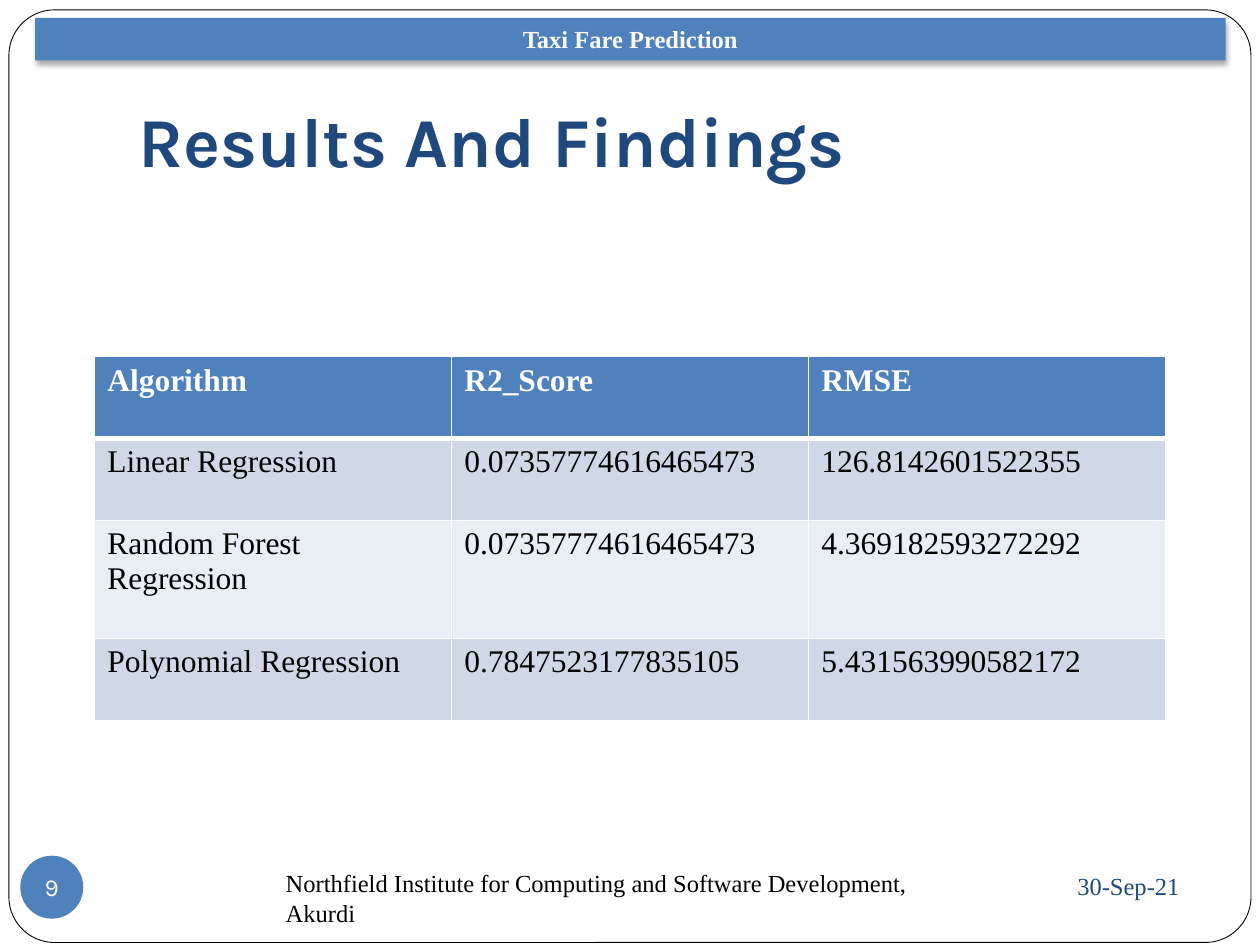
"""Build the results slide of the taxi fare prediction presentation."""
from lxml.etree import SubElement
from pptx import Presentation
from pptx.dml.color import RGBColor
from pptx.enum.shapes import MSO_SHAPE as Shape
from pptx.enum.text import MSO_ANCHOR as Anchor, PP_ALIGN as Align
from pptx.oxml import parse_xml
from pptx.oxml.ns import nsdecls, qn
from pptx.util import Cm, Pt

WHITE = RGBColor(0xFF, 0xFF, 0xFF)
BLACK = RGBColor(0, 0, 0)
NAVY = RGBColor(0x1F, 0x49, 0x7D)
BLUE = RGBColor(0x4F, 0x81, 0xBD)
BANDS = [RGBColor(0xE9, 0xED, 0xF4), RGBColor(0xD0, 0xD8, 0xE8)]
SERIF = "Times New Roman"
SANS = "Karla"


def write(text_frame, text, size, color, name=SERIF, bold=False, align=Align.LEFT, anchor=Anchor.MIDDLE):
    text_frame.text = text
    text_frame.word_wrap = True
    text_frame.vertical_anchor = anchor
    paragraph = text_frame.paragraphs[0]
    paragraph.alignment = align
    font = paragraph.font
    font.name, font.size, font.bold = name, Pt(size), bold
    font.color.rgb = color


def add_border(cell, side, width):
    line = SubElement(cell._tc.get_or_add_tcPr(), qn(f"a:{side}"), w=str(Pt(width)))
    fill = SubElement(line, qn("a:solidFill"))
    SubElement(fill, qn("a:srgbClr"), val=str(WHITE))


presentation = Presentation()
presentation.slide_width, presentation.slide_height = Cm(25.4), Cm(19.05)
slide = presentation.slides.add_slide(presentation.slide_layouts[5])
shapes = slide.shapes

title = shapes.title
title.left, title.top, title.width, title.height = Cm(2.54), Cm(0.76), Cm(21.59), Cm(3.15)
write(title.text_frame, "Results And Findings", 40, NAVY, SANS, True, anchor=Anchor.BOTTOM)
title.text_frame.margin_bottom = Cm(0.25)

frame = shapes.add_shape(Shape.ROUNDED_RECTANGLE, Cm(0.18), Cm(0.2), Cm(25.04), Cm(18.8))
frame.adjustments[0] = 0.049
frame.shadow.inherit = False
frame.fill.solid()
frame.fill.fore_color.rgb = WHITE
frame.line.color.rgb = BLACK
frame.line.width = Pt(0.5)
title.element.addprevious(frame.element)

date = shapes.add_textbox(Cm(17.15), Cm(17.2), Cm(6.88), Cm(1.32))
write(date.text_frame, "30-Sep-21", 14, NAVY, align=Align.RIGHT)

number = shapes.add_shape(Shape.OVAL, Cm(0.41), Cm(17.25), Cm(1.27), Cm(1.27))
write(number.text_frame, "9", 14, WHITE, SANS, align=Align.CENTER)
number.text_frame.margin_left = number.text_frame.margin_right = 0
number.text_frame.margin_top = number.text_frame.margin_bottom = 0
number.text_frame.word_wrap = False

rows = [
    ("Algorithm", "R2_Score", "RMSE"),
    ("Linear Regression", "0.07357774616465473", "126.8142601522355"),
    ("Random Forest Regression", "0.07357774616465473", "4.369182593272292"),
    ("Polynomial Regression", "0.7847523177835105", "5.431563990582172"),
]
row_heights = [Cm(1.65), Cm(1.65), Cm(2.38), Cm(1.65)]
table = shapes.add_table(len(rows), 3, Cm(1.91), Cm(7.19), Cm(21.59), sum(row_heights)).table
for row_index, row in enumerate(rows):
    header = row_index == 0
    table.rows[row_index].height = row_heights[row_index]
    for column_index, text in enumerate(row):
        cell = table.cell(row_index, column_index)
        write(cell.text_frame, text, 18, WHITE if header else BLACK, bold=header)
        cell.vertical_anchor = Anchor.TOP
        for side in ("lnL", "lnR", "lnT", "lnB"):
            thick = (header and side == "lnB") or (row_index == 1 and side == "lnT")
            add_border(cell, side, 3 if thick else 1)
        cell.fill.solid()
        cell.fill.fore_color.rgb = BLUE if header else BANDS[row_index % 2]

footer = shapes.add_textbox(Cm(5.51), Cm(17.53), Cm(13.74), Cm(1.14))
write(footer.text_frame, "Northfield Institute for Computing and Software Development, Akurdi", 14, BLACK)

banner = shapes.add_shape(Shape.RECTANGLE, Cm(0.71), Cm(0.36), Cm(24), Cm(0.86))
write(banner.text_frame, "Taxi Fare Prediction", 14, WHITE, bold=True, align=Align.CENTER)

for shape in (number, banner):
    shape.shadow.inherit = False
    shape.fill.solid()
    shape.fill.fore_color.rgb = BLUE
    shape.line.fill.background()

effects = banner.element.spPr.find(qn("a:effectLst"))
effects.append(parse_xml(
    f'<a:outerShdw {nsdecls("a")} blurRad="{Pt(3.5)}" dist="{Pt(2.2)}" dir="5400000" rotWithShape="0">'
    '<a:srgbClr val="000000"><a:alpha val="32000"/></a:srgbClr></a:outerShdw>'
))

presentation.save("out.pptx")
